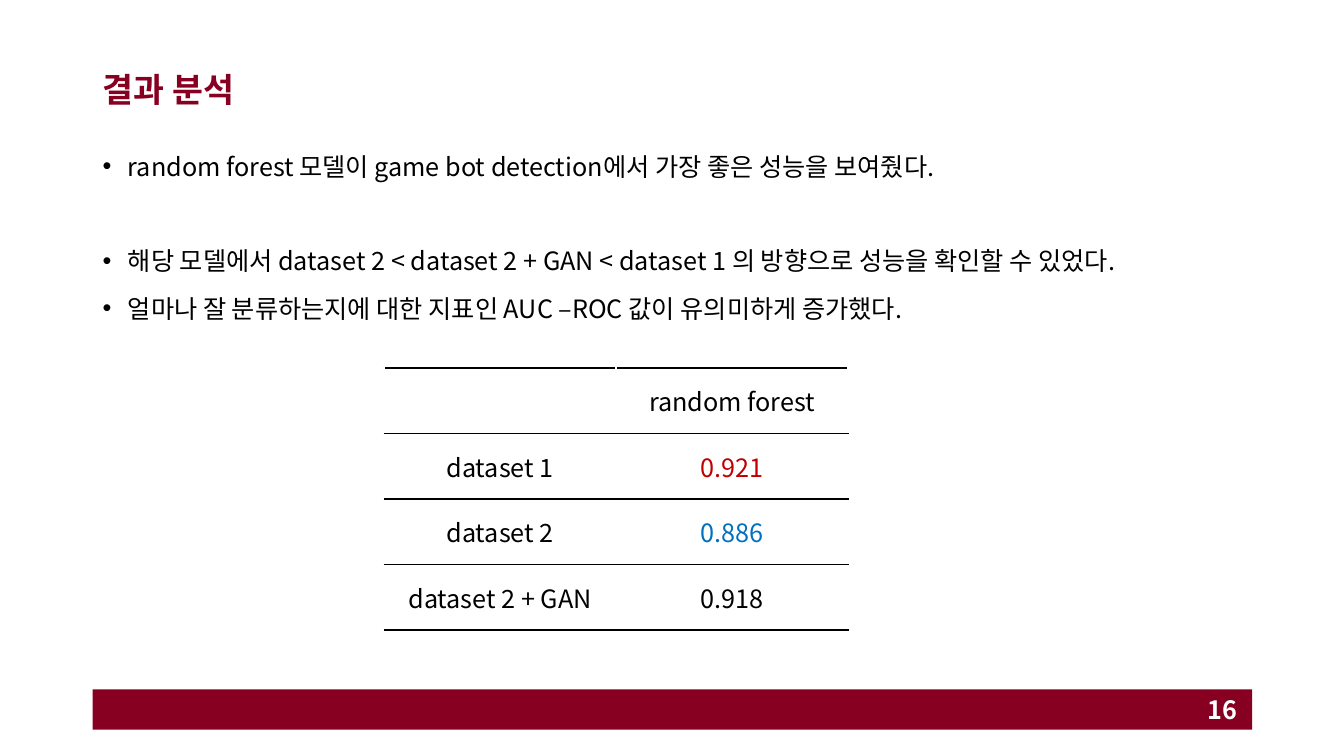
from dataclasses import dataclass

from lxml import etree
from pptx import Presentation
from pptx.dml.color import RGBColor
from pptx.enum.shapes import MSO_SHAPE
from pptx.enum.text import MSO_ANCHOR, MSO_AUTO_SIZE, PP_ALIGN
from pptx.oxml.ns import qn
from pptx.util import Inches, Pt

RECTANGLE = MSO_SHAPE.RECTANGLE
MIDDLE = MSO_ANCHOR.MIDDLE
LEFT, CENTER = PP_ALIGN.LEFT, PP_ALIGN.CENTER
NO_AUTOFIT, GROW = MSO_AUTO_SIZE.NONE, MSO_AUTO_SIZE.SHAPE_TO_FIT_TEXT

FONT = "Noto Sans CJK KR"
COLORS = {
    "crimson": "870021",
    "white": "FFFFFF",
    "black": "000000",
    "red": "C00000",
    "blue": "0070C0",
}
MARGIN, CONTENT_WIDTH = 0.92, 11.5
FOOTER_TOP, FOOTER_HEIGHT = 6.84, 0.4
COLUMN_WIDTH, ROW_HEIGHT = 2.3, 0.65


@dataclass
class Finding:
    text: str
    space_before: float = 10


@dataclass
class Score:
    dataset: str
    value: str
    color: str = "black"


FINDINGS = [
    Finding("random forest 모델이 game bot detection에서 가장 좋은 성능을 보여줬다."),
    Finding("해당 모델에서 dataset 2 < dataset 2 + GAN < dataset 1 의 방향으로 "
            "성능을 확인할 수 있었다.", space_before=43.7),
    Finding("얼마나 잘 분류하는지에 대한 지표인 AUC –ROC 값이 유의미하게 증가했다."),
]
SCORES = [
    Score("", "random forest"),
    Score("dataset 1", "0.921", "red"),
    Score("dataset 2", "0.886", "blue"),
    Score("dataset 2 + GAN", "0.918"),
]


def rgb(color: str) -> RGBColor:
    return RGBColor.from_string(COLORS[color])


def write(paragraph, text: str, *, size: float = 18, color: str = "black",
          bold: bool = False, align=LEFT, line_spacing: float = 1.0,
          space_before: float = 0) -> None:
    paragraph.alignment = align
    paragraph.line_spacing = line_spacing
    paragraph.space_before = Pt(space_before)
    run = paragraph.add_run()
    run.text = text
    run.font.name = FONT
    run.font.size = Pt(size)
    run.font.bold = bold
    run.font.color.rgb = rgb(color)
    east_asian = etree.SubElement(run.font._element, qn("a:ea"))
    east_asian.set("typeface", FONT)


def add_bullet(paragraph) -> None:
    properties = paragraph._p.get_or_add_pPr()
    properties.set("marL", str(Inches(0.25)))
    properties.set("indent", str(Inches(-0.25)))
    etree.SubElement(properties, qn("a:buFont")).set("typeface", "Arial")
    etree.SubElement(properties, qn("a:buChar")).set("char", "•")


def set_borders(cell) -> None:
    """Draw black horizontal rules and white vertical ones around a cell."""
    properties = cell._tc.get_or_add_tcPr()
    sides = {"lnL": "white", "lnR": "white", "lnT": "black", "lnB": "black"}
    for position, (side, color) in enumerate(sides.items()):
        line = etree.Element(qn(f"a:{side}"), w=str(Pt(1)))
        fill = etree.SubElement(line, qn("a:solidFill"))
        etree.SubElement(fill, qn("a:srgbClr")).set("val", COLORS[color])
        properties.insert(position, line)


def add_footer(slide, page: str) -> None:
    bar = slide.shapes.add_shape(
        RECTANGLE, Inches(MARGIN), Inches(FOOTER_TOP),
        Inches(CONTENT_WIDTH), Inches(FOOTER_HEIGHT))
    bar.shadow.inherit = False
    bar.fill.solid()
    bar.fill.fore_color.rgb = rgb("crimson")
    bar.line.fill.background()

    number = slide.shapes.add_textbox(
        Inches(11.88), Inches(FOOTER_TOP), Inches(0.53), Inches(FOOTER_HEIGHT))
    number.text_frame.word_wrap = True
    number.text_frame.auto_size = GROW
    write(number.text_frame.paragraphs[0], page, color="white", bold=True)


def format_title(title, text: str) -> None:
    title.left, title.top = Inches(MARGIN), Inches(0.4)
    title.width, title.height = Inches(CONTENT_WIDTH), Inches(1.02)
    title.text_frame.auto_size = NO_AUTOFIT
    title.text_frame.vertical_anchor = MIDDLE
    write(title.text_frame.paragraphs[0], text, size=24, color="crimson",
          bold=True, line_spacing=0.9)


def add_findings(slide, findings: list[Finding]) -> None:
    body = slide.shapes.add_textbox(
        Inches(MARGIN), Inches(1.42), Inches(CONTENT_WIDTH), Inches(5.08))
    frame = body.text_frame
    frame.word_wrap = True
    for index, finding in enumerate(findings):
        paragraph = frame.add_paragraph() if index else frame.paragraphs[0]
        write(paragraph, finding.text, line_spacing=1.1,
              space_before=finding.space_before)
        add_bullet(paragraph)


def add_scores(slide, scores: list[Score]) -> None:
    table = slide.shapes.add_table(
        len(scores), 2, Inches(3.81), Inches(3.65),
        Inches(2 * COLUMN_WIDTH), Inches(len(scores) * ROW_HEIGHT)).table
    table.first_row = False
    table.horz_banding = False
    for row, score in enumerate(scores):
        entries = [(score.dataset, "black"), (score.value, score.color)]
        for column, (text, color) in enumerate(entries):
            cell = table.cell(row, column)
            cell.fill.solid()
            cell.fill.fore_color.rgb = rgb("white")
            cell.vertical_anchor = MIDDLE
            set_borders(cell)
            if text:
                write(cell.text_frame.paragraphs[0], text, color=color, align=CENTER)


def main() -> None:
    presentation = Presentation()
    presentation.slide_width = Inches(13.33)
    presentation.slide_height = Inches(7.5)
    title_only = presentation.slide_layouts[5]
    slide = presentation.slides.add_slide(title_only)
    add_footer(slide, "16")
    format_title(slide.shapes.title, "결과 분석")
    add_findings(slide, FINDINGS)
    add_scores(slide, SCORES)
    presentation.save("out.pptx")


if __name__ == "__main__":
    main()
